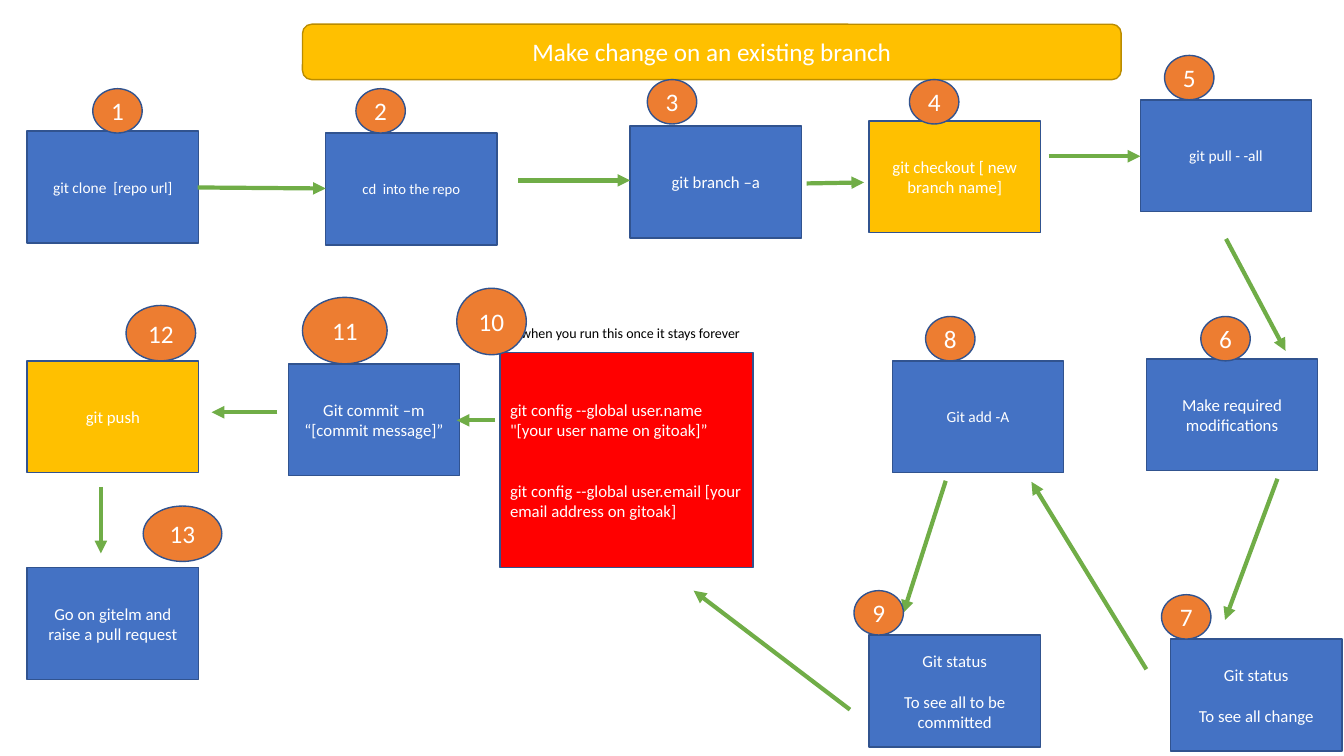
from dataclasses import dataclass

from lxml.etree import SubElement
from pptx import Presentation
from pptx.dml.color import RGBColor
from pptx.enum.shapes import MSO_CONNECTOR as CONNECTOR, MSO_SHAPE as SHAPE
from pptx.enum.text import MSO_ANCHOR as ANCHOR, PP_ALIGN as ALIGN
from pptx.oxml.ns import qn
from pptx.util import Emu, Pt


@dataclass(frozen=True)
class Theme:
    font: str = "Calibri"
    blue: str = "4472C4"
    outline: str = "31538F"
    gold: str = "FFC000"
    gold_outline: str = "BA8C00"
    red: str = "FF0000"
    orange: str = "ED7D31"
    green: str = "70AD47"
    white: str = "FFFFFF"
    black: str = "000000"
    heading: float = 18
    body: float = 12
    command: float = 11
    small: float = 10.5
    note: float = 10


theme = Theme()
PX = 9144  # 100 px to the inch


def write(shape, paragraphs, size, color=theme.white, align=ALIGN.CENTER, gap=0):
    """Fill the shape with paragraphs that are gap points apart."""
    frame = shape.text_frame
    frame.word_wrap = True
    for index, text in enumerate(paragraphs):
        paragraph = frame.add_paragraph() if index else frame.paragraphs[0]
        paragraph.alignment = align
        paragraph.space_before = Pt(gap if index else 0)
        run = paragraph.add_run()
        run.text = text
        run.font.name = theme.font
        run.font.size = Pt(size)
        run.font.color.rgb = RGBColor.from_string(color)


def add_box(kind, place, fill, line=theme.outline):
    shape = slide.shapes.add_shape(kind, *(Emu(length * PX) for length in place))
    shape.shadow.inherit = False
    shape.fill.solid()
    shape.fill.fore_color.rgb = RGBColor.from_string(fill)
    shape.line.color.rgb = RGBColor.from_string(line)
    shape.line.width = Pt(1)
    shape.text_frame.vertical_anchor = ANCHOR.MIDDLE
    return shape


presentation = Presentation()
presentation.slide_width = Emu(1333 * PX)
presentation.slide_height = Emu(750 * PX)
slide = presentation.slides.add_slide(presentation.slide_layouts[6])

title = add_box(SHAPE.ROUNDED_RECTANGLE, (300, 24, 812, 55), theme.gold, theme.gold_outline)
write(title, ["Make change on an existing branch"], theme.heading)

# Steps 1 to 13, without the larger step 10: left, top, fill, type size, paragraphs
STEP_SIZE = (170, 111)
steps = [
    (27, 130, theme.blue, theme.command, ["git clone  [repo url]"]),
    (323, 132, theme.blue, theme.small, ["cd  into the repo"]),
    (625, 125, theme.blue, theme.body, ["git branch –a"]),
    (862, 120, theme.gold, theme.body, ["git checkout [ new branch name]"]),
    (1131, 99, theme.blue, theme.command, ["git pull - -all"]),
    (1137, 356, theme.blue, theme.body, ["Make required modifications"]),
    (1161, 634, theme.blue, theme.body, ["Git status", "To see all change"]),
    (885, 358, theme.blue, theme.command, ["Git add -A"]),
    (862, 630, theme.blue, theme.body, ["Git status", "To see all to be committed"]),
    (286, 361, theme.blue, theme.body, ["Git commit –m “[commit message]”"]),
    (27, 358, theme.gold, theme.body, ["git push"]),
    (27, 563, theme.blue, theme.body, ["Go on gitelm and raise a pull request"]),
]
for left, top, fill, size, paragraphs in steps:
    step = add_box(SHAPE.RECTANGLE, (left, top, *STEP_SIZE), fill)
    write(step, paragraphs, size, gap=15)

config = add_box(SHAPE.RECTANGLE, (496, 350, 251, 213), theme.red)
write(config, [
    'git config --global user.name "[your user name on gitoak]”',
    "git config --global user.email [your email address on gitoak]",
], theme.body, align=ALIGN.LEFT, gap=29)

# Arrows in step order: start x, start y, end x, end y
arrows = [
    (196, 186, 323, 187),
    (514, 179, 625, 179),
    (800, 182, 857, 181),
    (1040, 155, 1131, 155),
    (1216, 237, 1275, 348),
    (1267, 475, 1215, 615),
    (1137, 664, 1023, 478),
    (938, 477, 896, 608),
    (843, 704, 688, 586),
    (491, 417, 453, 417),
    (275, 409, 210, 409),
    (100, 483, 100, 549),
]
for ends in arrows:
    arrow = slide.shapes.add_connector(CONNECTOR.STRAIGHT, *(Emu(end * PX) for end in ends))
    arrow.line.color.rgb = RGBColor.from_string(theme.green)
    arrow.line.width = Pt(3)
    SubElement(arrow.line._get_or_add_ln(), qn("a:tailEnd"), type="triangle")
    SubElement(arrow._element.spPr, qn("a:effectLst"))

note = slide.shapes.add_textbox(*(Emu(length * PX) for length in (507, 314, 240, 37)))
note.text_frame.margin_top = note.text_frame.margin_bottom = Emu(10 * PX)
write(note, ["when you run this once it stays forever"], theme.note, theme.black, ALIGN.LEFT)

# Number badges, 1 to 13: left, top, width, height
SMALL_BADGE = (49, 44)
badges = [
    (92, 88, *SMALL_BADGE),
    (353, 88, *SMALL_BADGE),
    (642, 79, *SMALL_BADGE),
    (902, 79, *SMALL_BADGE),
    (1155, 55, *SMALL_BADGE),
    (1191, 314, *SMALL_BADGE),
    (1152, 590, *SMALL_BADGE),
    (918, 314, *SMALL_BADGE),
    (847, 586, *SMALL_BADGE),
    (453, 286, 69, 66),
    (300, 295, 84, 66),
    (125, 303, 69, 55),
    (142, 502, 78, 55),
]
for number, place in enumerate(badges, start=1):
    badge = add_box(SHAPE.OVAL, place, theme.orange)
    write(badge, [str(number)], theme.heading)

presentation.save("out.pptx")
